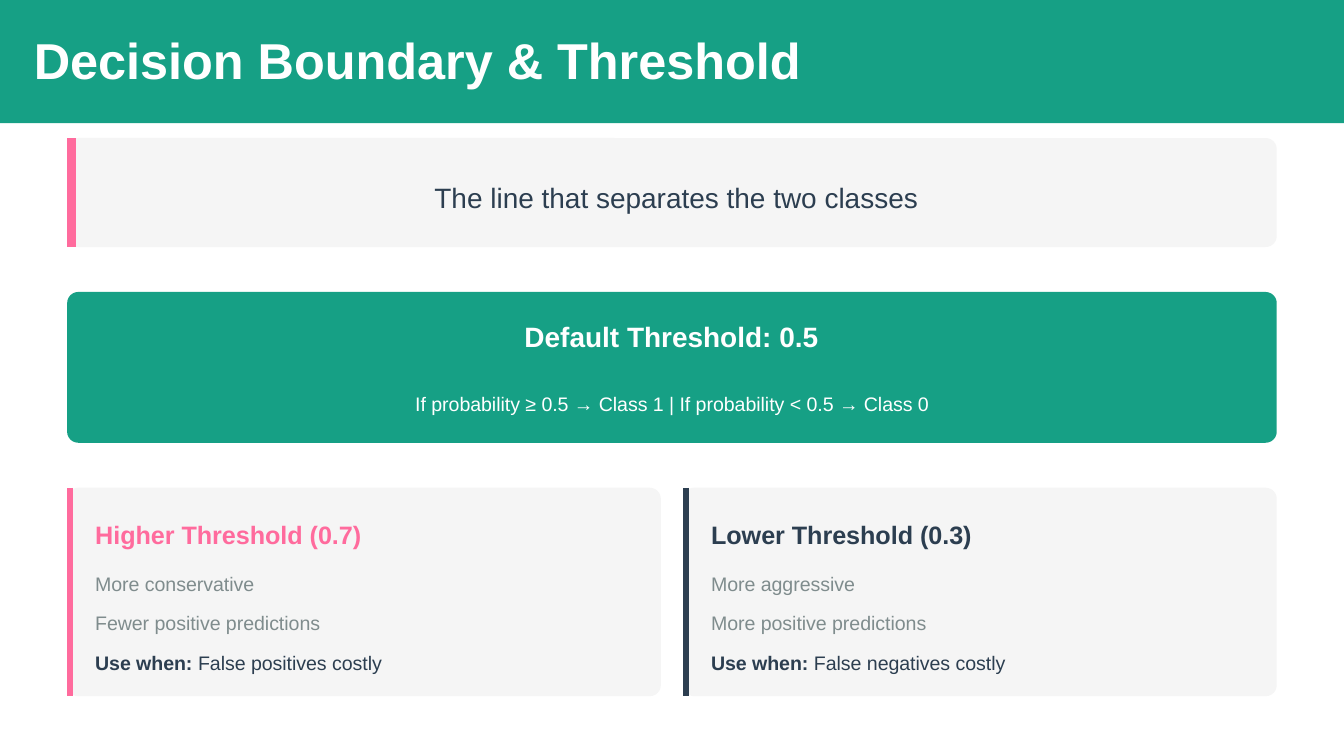
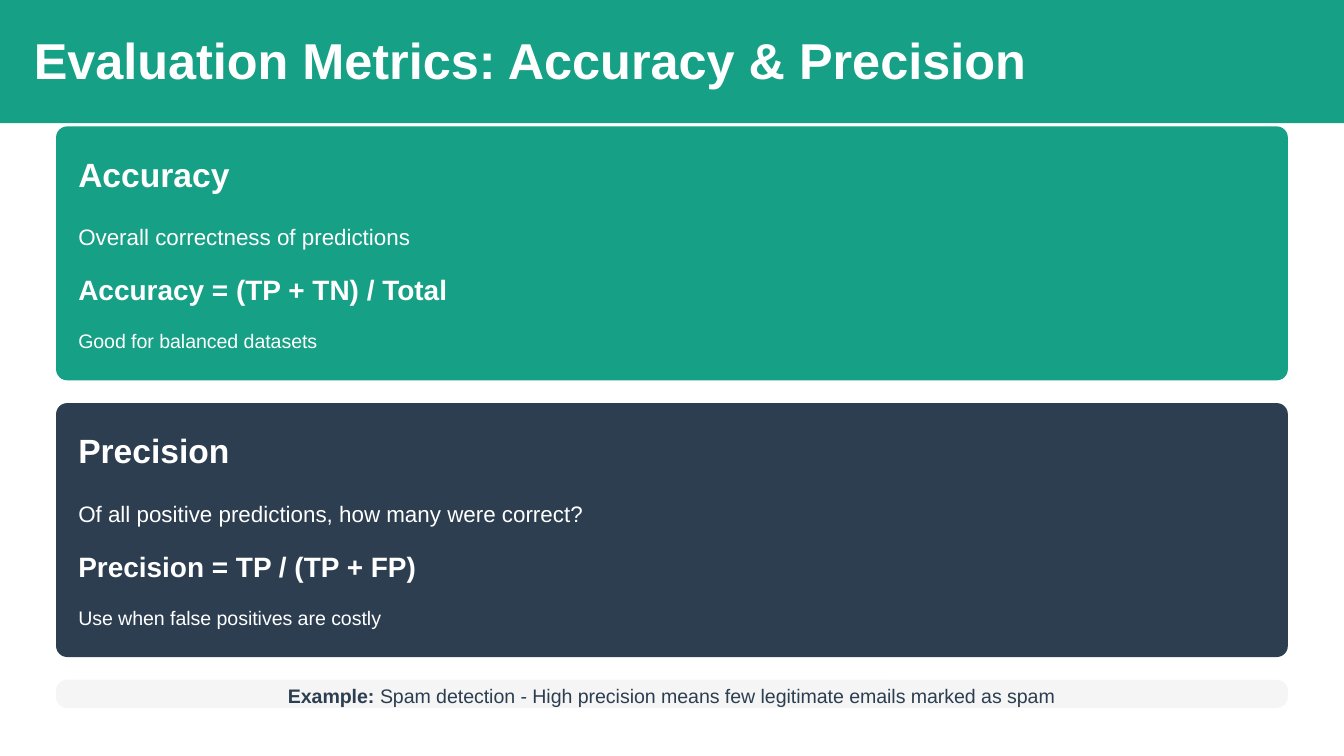
"""Build two slides on classification thresholds and evaluation metrics."""
from lxml import etree
from pptx import Presentation
from pptx import util as u
from pptx.dml.color import RGBColor
from pptx.enum import shapes, text
from pptx.oxml.ns import qn

COLORS = {
    "green": "16A085",
    "navy": "2C3E50",
    "pink": "FF6B9D",
    "grey": "7F8C8D",
    "light": "F5F5F5",
    "white": "FFFFFF",
}
FONT = "Arial"
CORNER = 0.21
LEFT, CENTER = text.PP_ALIGN.LEFT, text.PP_ALIGN.CENTER


def add_panel(page, left, top, width, height, color, rounded=True):
    kind = shapes.MSO_SHAPE.ROUNDED_RECTANGLE if rounded else shapes.MSO_SHAPE.RECTANGLE
    panel = page.shapes.add_shape(kind, u.Cm(left), u.Cm(top), u.Cm(width), u.Cm(height))
    if rounded:
        panel.adjustments[0] = CORNER / min(width, height)
    panel.shadow.inherit = False
    panel.fill.solid()
    panel.fill.fore_color.rgb = RGBColor.from_string(COLORS[color])
    panel.line.fill.background()


def add_text(page, words, left, top, width, size, leading, color, bold=False, align=LEFT, lead=""):
    box = page.shapes.add_textbox(u.Cm(left), u.Cm(top), u.Cm(width), u.Pt(leading))
    frame = box.text_frame
    frame.word_wrap = True
    frame.margin_left = frame.margin_top = frame.margin_right = frame.margin_bottom = 0
    para = frame.paragraphs[0]
    para.alignment = align
    para.line_spacing = u.Pt(leading)
    para.font.name = FONT
    para.font.size = u.Pt(size)
    para.font.color.rgb = RGBColor.from_string(COLORS[color])
    if lead:
        span = para.add_run()
        span.text = lead
        span.font.bold = True
    else:
        para.font.bold = bold
    para.add_run().text = words


deck = Presentation()
deck.slide_width, deck.slide_height = u.Cm(25.4), u.Cm(14.29)

pages = []
for title, width in [
    ("Decision Boundary & Threshold", 14.81),
    ("Evaluation Metrics: Accuracy & Precision", 19.13),
]:
    page = deck.slides.add_slide(deck.slide_layouts[6])
    add_panel(page, 0, 0, 25.4, 2.33, "green", rounded=False)
    add_text(page, title, 0.64, 0.64, width, 27, 30, "white", bold=True)
    pages.append(page)
threshold_page, metrics_page = pages

for left, top, width, height, accent, weight in [
    (1.27, 2.61, 22.86, 2.06, "pink", 4.5),
    (1.27, 9.22, 11.22, 3.94, "pink", 3),
    (12.91, 9.22, 11.22, 3.94, "navy", 3),
]:
    add_panel(threshold_page, left, top, width, height, "light")
    x = u.Cm(left) + u.Pt(weight / 2)
    bar = threshold_page.shapes.add_connector(
        shapes.MSO_CONNECTOR.STRAIGHT, x, u.Cm(top), x, u.Cm(top + height)
    )
    bar.line.width = u.Pt(weight)
    bar.line.color.rgb = RGBColor.from_string(COLORS[accent])
    etree.SubElement(bar.element.spPr, qn("a:effectLst"))

add_text(threshold_page, "The line that separates the two classes",
         1.85, 3.25, 21.87, 15, 22.5, "navy", align=CENTER)

add_panel(threshold_page, 1.27, 5.52, 22.86, 2.85, "green")
add_text(threshold_page, "Default Threshold: 0.5",
         9.86, 5.94, 5.66, 15, 21, "white", bold=True, align=CENTER)
add_text(threshold_page, "If probability ≥ 0.5 → Class 1 | If probability < 0.5 → Class 0",
         7.72, 7.32, 9.98, 10.5, 15, "white", align=CENTER)

for left, color, heading, effects, use in [
    (1.8, "pink", "Higher Threshold (0.7)",
     ["More conservative", "Fewer positive predictions"], " False positives costly"),
    (13.44, "navy", "Lower Threshold (0.3)",
     ["More aggressive", "More positive predictions"], " False negatives costly"),
]:
    add_text(threshold_page, heading, left, 9.65, 10.46, 13.5, 21, color, bold=True)
    for row, effect in enumerate(effects):
        add_text(threshold_page, effect, left, 10.72 + 0.75 * row, 10.46, 10.5, 15, "grey")
    add_text(threshold_page, use, left, 12.22, 10.46, 10.5, 15, "navy", lead="Use when:")

for top, color, name, meaning, formula, advice in [
    (2.39, "green", "Accuracy", "Overall correctness of predictions",
     "Accuracy = (TP + TN) / Total", "Good for balanced datasets"),
    (7.62, "navy", "Precision", "Of all positive predictions, how many were correct?",
     "Precision = TP / (TP + FP)", "Use when false positives are costly"),
]:
    add_panel(metrics_page, 1.06, top, 23.28, 4.8, color)
    for words, offset, size, leading, bold in [
        (name, 0.43, 18, 24, True),
        (meaning, 1.7, 12, 18, False),
        (formula, 2.66, 15, 21, True),
        (advice, 3.75, 10.5, 15, False),
    ]:
        add_text(metrics_page, words, 1.48, top + offset, 22.88, size, leading, "white", bold)

add_panel(metrics_page, 1.06, 12.85, 23.28, 0.53, "light")
add_text(metrics_page, " Spam detection - High precision means few legitimate emails marked as spam",
         5.26, 12.85, 14.88, 10.5, 15, "navy", align=CENTER, lead="Example:")

deck.save("out.pptx")
